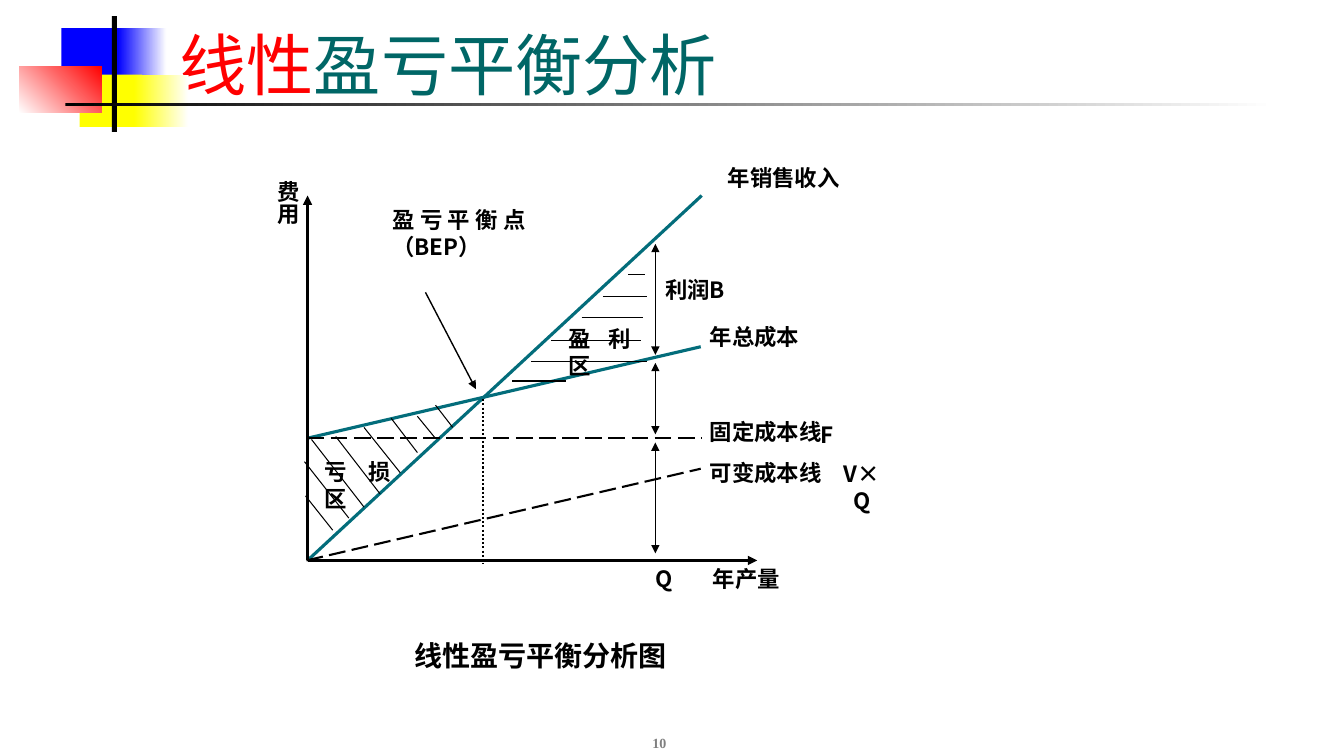
from lxml import etree
from pptx import Presentation
from pptx.dml.color import RGBColor
from pptx.enum.dml import MSO_LINE
from pptx.enum.shapes import MSO_CONNECTOR, MSO_SHAPE
from pptx.enum.text import MSO_ANCHOR, MSO_AUTO_SIZE, PP_ALIGN
from pptx.oxml.ns import qn
from pptx.util import Inches, Pt

BLACK = RGBColor(0, 0, 0)
WHITE = RGBColor(255, 255, 255)
RED = RGBColor(255, 0, 0)
BLUE = RGBColor(0, 0, 255)
YELLOW = RGBColor(255, 255, 0)
GREY = RGBColor(0x80, 0x80, 0x80)
GREEN = RGBColor(0, 0x66, 0x66)
TEAL = RGBColor(0x03, 0x6D, 0x7B)

SANS = "Noto Sans CJK SC"
SERIF = "Times New Roman"
LEFT, CENTER, JUSTIFY = PP_ALIGN.LEFT, PP_ALIGN.CENTER, PP_ALIGN.JUSTIFY
TOP, MIDDLE, BOTTOM = MSO_ANCHOR.TOP, MSO_ANCHOR.MIDDLE, MSO_ANCHOR.BOTTOM
GROW, FIXED = MSO_AUTO_SIZE.SHAPE_TO_FIT_TEXT, MSO_AUTO_SIZE.NONE
DASH, DOT = MSO_LINE.LONG_DASH, MSO_LINE.ROUND_DOT
RECT, STRAIGHT = MSO_SHAPE.RECTANGLE, MSO_CONNECTOR.STRAIGHT

deck = Presentation()
deck.slide_width, deck.slide_height = Inches(13.33), Inches(7.5)
slide = deck.slides.add_slide(deck.slide_layouts[5])
shapes = slide.shapes


def write(runs, at, box=None, size=16, font=SANS, bold=True, align=JUSTIFY,
          anchor=TOP, inset=(0, 0), fit=GROW, vert=None, tab=None, space=None):
    """Set (text, colour) runs in a box, or in a new text box."""
    left, top, width, height = map(Inches, at)
    box = box or shapes.add_textbox(left, top, width, height)
    box.left, box.top, box.width, box.height = left, top, width, height
    frame = box.text_frame
    frame.word_wrap, frame.auto_size = True, fit
    frame.vertical_anchor = anchor
    frame.margin_left = frame.margin_right = Inches(inset[0])
    frame.margin_top = frame.margin_bottom = Inches(inset[1])
    if vert:
        frame._txBody.bodyPr.set("vert", vert)
    para = frame.paragraphs[0]
    para.alignment = align
    if space:
        para.line_spacing = space
    if tab:
        stops = etree.SubElement(para._p.get_or_add_pPr(), qn("a:tabLst"))
        etree.SubElement(stops, qn("a:tab"), pos=str(Inches(tab)), algn="l")
    for text, color in runs:
        run = para.add_run()
        run.text = text
        run.font.size, run.font.bold, run.font.name = Pt(size), bold, font
        run.font.color.rgb = color
        etree.SubElement(run.font._element, qn("a:ea"), typeface=SANS)


def draw(start, end, color=BLACK, width=0.75, dash=None, ends=()):
    """Draw a line; ends names the tips that get an arrowhead."""
    line = shapes.add_connector(STRAIGHT, *map(Inches, start + end))
    line.line.color.rgb = color
    line.line.width = Pt(width)
    if dash:
        line.line.dash_style = dash
    props = line.element.spPr
    for tip in ends:
        etree.SubElement(props.find(qn("a:ln")), qn(f"a:{tip}"), type="triangle")
    etree.SubElement(props, qn("a:effectLst"))


# Corner blocks and rule
for at, first, last, angle in [
    ((0.61, 0.28, 0.64, 0.52), BLUE, None, 0),
    ((1.17, 0.28, 0.48, 0.52), BLUE, WHITE, 0),
    ((0.79, 0.74, 0.62, 0.52), YELLOW, None, 0),
    ((1.33, 0.74, 0.54, 0.52), YELLOW, WHITE, 0),
    ((0.19, 0.66, 0.82, 0.46), WHITE, RED, 45),
    ((1.11, 0.16, 0.05, 1.15), BLACK, None, 0),
    ((0.65, 1.02, 12, 0.03), BLACK, WHITE, 0),
]:
    block = shapes.add_shape(RECT, *map(Inches, at))
    block.shadow.inherit = False
    block.line.fill.background()
    if last is None:
        block.fill.solid()
        block.fill.fore_color.rgb = first
    else:
        block.fill.gradient()
        block.fill.gradient_angle = angle
        for stop, color in zip(block.fill.gradient_stops, (first, last)):
            stop.color.rgb = color

write([("线性", RED), ("盈亏平衡分析", GREEN)], (1.68, 0.16, 11.36, 0.92),
      box=shapes.title, size=48, font=SERIF, bold=False, align=LEFT,
      anchor=BOTTOM, inset=(0.1, 0.05), fit=FIXED)
write([("10", GREY)], (5.15, 7, 2.78, 0.5), size=10, font=SERIF, align=CENTER,
      anchor=BOTTOM, inset=(0.1, 0.05), fit=FIXED)

# Revenue, cost and break-even lines, then the axes
zero = (3.05, 5.56)
draw((6.96, 1.94), zero, TEAL, 2.25)
draw((3.04, 4.35), (6.95, 3.44), TEAL, 2.25)
draw((4.79, 3.96), (4.79, 5.6), width=1.5, dash=DOT)
draw((3.05, 4.35), (6.96, 4.35), width=1.5, dash=DASH)
draw((3.04, 5.56), (6.95, 4.65), width=1.5, dash=DASH)
draw((3.05, 1.94), zero, width=2.25, ends=["headEnd"])
draw(zero, (7.51, 5.56), width=2.25, ends=["tailEnd"])

# Loss hatching
for start, end in [
    ((3.09, 4.36), (3.61, 5.03)), ((3.02, 4.58), (3.46, 5.14)),
    ((3.33, 4.33), (3.77, 4.9)), ((3.61, 4.24), (3.97, 4.69)),
    ((3.88, 4.15), (4.14, 4.49)), ((4.14, 4.13), (4.32, 4.35)),
    ((4.32, 4.02), (4.49, 4.24)), ((3.03, 4.92), (3.3, 5.26)),
]:
    draw(start, end)

# Profit hatching
for left, right, y in [(6.23, 6.4, 2.72), (5.98, 6.42, 2.94), (5.77, 6.38, 3.15),
                       (5.47, 6.36, 3.38), (5.27, 6.42, 3.59), (5.08, 5.61, 3.78)]:
    draw((left, y), (right, y))

# Pointer to the break-even point, and spans at output Q
draw((4.22, 2.9), (4.72, 3.86), width=1, ends=["tailEnd"])
for top, bottom in [(2.42, 3.52), (3.6, 4.31), (4.39, 5.49)]:
    draw((6.5, top), (6.5, bottom), ends=["headEnd", "tailEnd"])

# Labels
mid = {"anchor": MIDDLE}
fixed = {"anchor": MIDDLE, "fit": FIXED}
padded = {"align": CENTER, "inset": (0.1, 0.05)}
for text, at, style in [
    ("盈亏平衡点（BEP）", (3.89, 2.05, 1.33, 0.53), {}),
    ("费用", (2.72, 1.79, 0.27, 0.57), {"vert": "eaVert"}),
    ("Q\t年产量", (6.5, 5.61, 2.24, 0.27), {"tab": 0.57}),
    ("亏损区", (3.22, 4.55, 0.66, 0.53), {}),
    ("盈利区", (5.64, 3.23, 0.62, 0.53), {}),
    ("年销售收入", (7.22, 1.63, 1.4, 0.27), {}),
    ("年总成本", (7.04, 3.21, 1.06, 0.27), {}),
    ("固定成本线", (7.04, 4.11, 1.19, 0.35), fixed),
    ("可变成本线", (7.04, 4.55, 1.19, 0.27), mid),
    ("利润B", (6.49, 2.69, 0.81, 0.37), padded),
    ("V×Q", (8.19, 4.52, 0.72, 0.37), padded),
    ("F", (8.14, 4.16, 0.47, 0.31), fixed),
]:
    write([(text, BLACK)], at, **style)
write([("线性盈亏平衡分析图", BLACK)], (4.11, 6.23, 2.69, 0.44), size=20,
      font="Arial", align=LEFT, anchor=BOTTOM, space=1.5)

deck.save("out.pptx")
